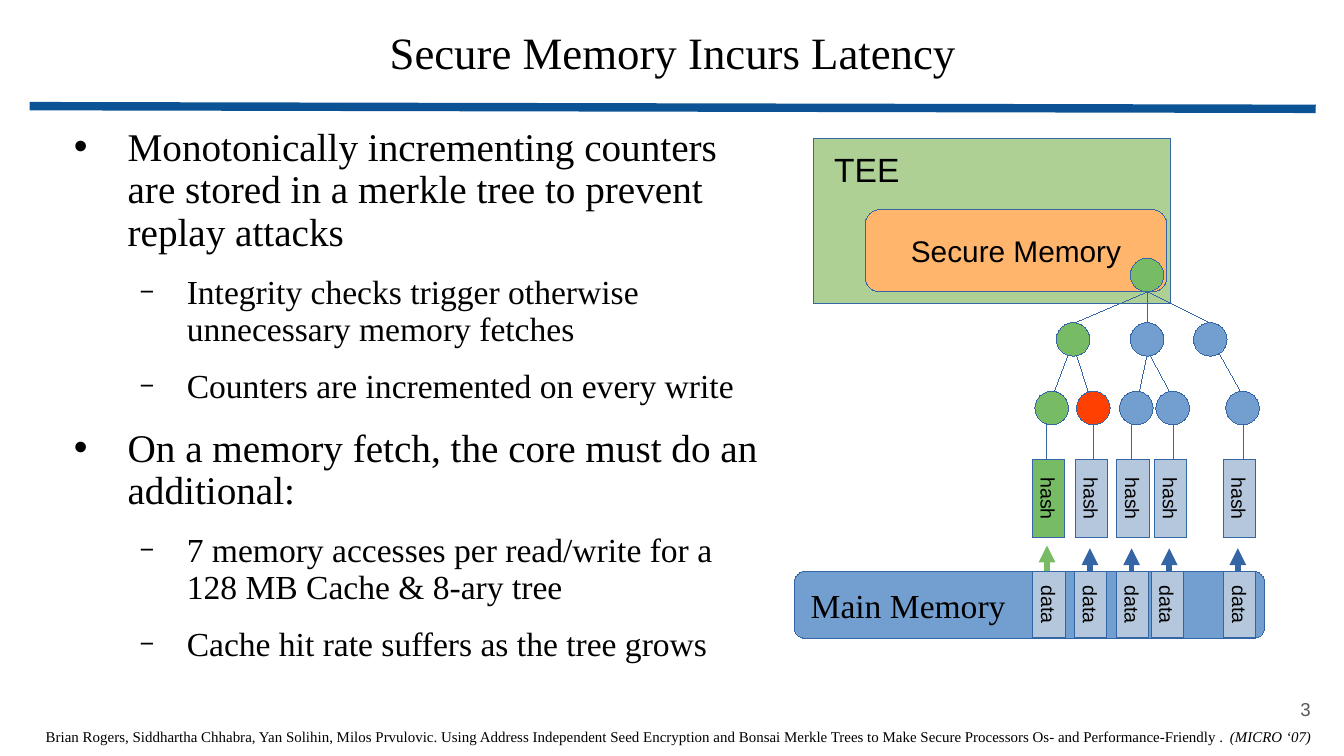
"""Build the slide on the latency of secure memory."""
from dataclasses import dataclass
from typing import NamedTuple

import lxml.etree
import pptx
import pptx.dml.color
import pptx.enum.shapes
import pptx.enum.text
import pptx.oxml.ns
import pptx.util

Inches = pptx.util.Inches
Pt = pptx.util.Pt
Color = pptx.dml.color.RGBColor
Kind = pptx.enum.shapes.MSO_SHAPE
Align = pptx.enum.text.PP_ALIGN
Anchor = pptx.enum.text.MSO_ANCHOR
qn = pptx.oxml.ns.qn

BLACK = Color(0x00, 0x00, 0x00)
GRAY = Color(0x59, 0x59, 0x59)
NAVY = Color(0x0B, 0x53, 0x94)
EDGE = Color(0x34, 0x65, 0xA4)
BLUE = Color(0x72, 0x9F, 0xCF)
PALE = Color(0xB4, 0xC7, 0xDC)
GREEN = Color(0x77, 0xBC, 0x65)
MINT = Color(0xAF, 0xD0, 0x95)
PEACH = Color(0xFF, 0xB6, 0x6C)
RED = Color(0xFF, 0x40, 0x00)
SERIF = "Times New Roman"
SANS = "Arial"
NODE = 0.25


class Box(NamedTuple):
    left: float
    top: float
    width: float
    height: float


class Style(NamedTuple):
    size: float
    face: str = SANS
    align: Align = Align.CENTER
    color: Color = BLACK


class Level(NamedTuple):
    mark: str
    scale: int
    left: float
    hang: float
    size: float
    gap: float


class Link(NamedTuple):
    start: tuple[float, float]
    end: tuple[float, float]


@dataclass
class Column:
    data: float
    hash: float
    arrow: float
    stem: float
    leaf: float
    shade: Color = BLUE
    tint: Color = PALE
    head: Color = EDGE
    tip: float = 4.08


LEVELS = (
    Level("•", 100, 0.5, 0.4, 21, 12),
    Level("−", 75, 0.94, 0.35, 18, 11.3),
)
POINTS = (
    (0, "Monotonically incrementing counters are stored in a merkle tree to prevent replay attacks"),
    (1, "Integrity checks trigger otherwise unnecessary memory fetches"),
    (1, "Counters are incremented on every write"),
    (0, "On a memory fetch, the core must do an additional:"),
    (1, "7 memory accesses per read/write for a 128 MB Cache & 8-ary tree"),
    (1, "Cache hit rate suffers as the tree grows"),
)
COLUMNS = (
    Column(7.56, 7.51, 7.79, 7.79, 7.7, GREEN, GREEN, GREEN, 4.06),
    Column(7.87, 7.83, 8.11, 8.14, 8.01, RED),
    Column(8.18, 8.14, 8.42, 8.42, 8.33),
    Column(8.44, 8.42, 8.7, 8.73, 8.6),
    Column(8.98, 8.93, 9.21, 9.25, 9.12),
)
LINKS = (
    Link((8.54, 2.17), (8.54, 2.63)),
    Link((8.54, 2.17), (9, 2.4)),
    Link((8.54, 2.17), (8, 2.4)),
    Link((8.54, 2.61), (8.46, 3)),
    Link((8.54, 2.61), (8.75, 3)),
    Link((8, 2.5), (7.83, 2.95)),
    Link((7.96, 2.48), (8.13, 3.02)),
    Link((9, 2.5), (9.23, 2.91)),
)
NODES = ((8.41, 1.92, GREEN), (7.86, 2.4, GREEN), (8.41, 2.4, BLUE), (8.88, 2.4, BLUE))


def format_runs(line, style: Style) -> None:
    line.alignment = style.align
    for run in line.runs:
        run.font.size = Pt(style.size)
        run.font.name = style.face
        run.font.color.rgb = style.color


def set_frame(frame, side: float, edge: float) -> None:
    frame.word_wrap = True
    frame.margin_left = frame.margin_right = Inches(side)
    frame.margin_top = frame.margin_bottom = Inches(edge)


def set_line(line, color: Color, width: float):
    line.color.rgb = color
    outline = line._get_or_add_ln()
    outline.set("w", str(Pt(width)))
    return outline


def add_text(slide, box: Box, text: str, style: Style, side: float = 0.07, edge: float = 0.04):
    frame = slide.shapes.add_textbox(*map(Inches, box)).text_frame
    set_frame(frame, side, edge)
    frame.text = text
    format_runs(frame.paragraphs[0], style)
    return frame


def add_shape(slide, kind: Kind, box: Box, fill: Color, text: str = "", style: Style = Style(16)):
    shape = slide.shapes.add_shape(kind, *map(Inches, box))
    shape.shadow.inherit = False
    shape.fill.solid()
    shape.fill.fore_color.rgb = fill
    set_line(shape.line, EDGE, 0)
    if text:
        frame = shape.text_frame
        set_frame(frame, 0.1, 0.05)
        frame.vertical_anchor = Anchor.MIDDLE
        frame.text = text
        format_runs(frame.paragraphs[0], style)
    return shape


def add_tag(slide, box: Box, fill: Color, text: str) -> None:
    tag = add_shape(slide, Kind.RECTANGLE, box, fill, text, Style(10.5))
    tag.rotation = 90
    tag.text_frame.word_wrap = False


def add_line(slide, link: Link, color: Color = EDGE, width: float = 0, arrow: bool = False) -> None:
    ends = map(Inches, link.start + link.end)
    line = slide.shapes.add_connector(pptx.enum.shapes.MSO_CONNECTOR.STRAIGHT, *ends)
    outline = set_line(line.line, color, width)
    if arrow:
        lxml.etree.SubElement(outline, qn("a:tailEnd"), type="triangle")
    lxml.etree.SubElement(line._element.spPr, qn("a:effectLst"))


def add_points(slide) -> None:
    frame = slide.shapes.add_textbox(*map(Inches, Box(0.38, 0.91, 5.37, 4.09))).text_frame
    set_frame(frame, 0.07, 0.04)
    for index, (depth, text) in enumerate(POINTS):
        level = LEVELS[depth]
        line = frame.add_paragraph() if index else frame.paragraphs[0]
        line.text = text
        line.level = depth
        props = line._p.get_or_add_pPr()
        props.set("marL", str(Inches(level.left)))
        props.set("indent", str(-Inches(level.hang)))
        tint = lxml.etree.SubElement(props, qn("a:buClr"))
        lxml.etree.SubElement(tint, qn("a:srgbClr"), val=str(BLACK))
        lxml.etree.SubElement(props, qn("a:buSzPct"), val=str(level.scale * 1000))
        lxml.etree.SubElement(props, qn("a:buFont"), typeface=SANS)
        lxml.etree.SubElement(props, qn("a:buChar"), char=level.mark)
        line.line_spacing = 0.9
        if index:
            line.space_before = Pt(level.gap)
        format_runs(line, Style(level.size, SERIF, Align.LEFT))


def add_source(slide) -> None:
    text = (
        "Brian Rogers, Siddhartha Chhabra, Yan Solihin, Milos Prvulovic. Using Address Independent "
        "Seed Encryption and Bonsai Merkle Trees to Make Secure Processors Os- and Performance-Friendly . "
    )
    style = Style(8, SERIF, Align.LEFT)
    line = add_text(slide, Box(0.08, 5.39, 9.92, 0.23), text, style).paragraphs[0]
    line._p.get_or_add_pPr().set("marL", str(Inches(0.19)))
    line.line_spacing = 0.9
    venue = line.add_run()
    venue.text = "(MICRO ‘07)"
    venue.font.italic = True
    format_runs(line, style)


def add_tree(slide) -> None:
    for link in LINKS:
        add_line(slide, link)
    leaves = tuple((col.leaf, 2.91, col.shade) for col in COLUMNS)
    for left, top, fill in NODES + leaves:
        add_shape(slide, Kind.OVAL, Box(left, top, NODE, NODE), fill)
    for col in COLUMNS:
        add_tag(slide, Box(col.data, 4.38, 0.49, 0.24), PALE, "data")
        add_tag(slide, Box(col.hash, 3.59, 0.58, 0.24), col.tint, "hash")
        add_line(slide, Link((col.stem, 3.42), (col.stem, 3.16)))


def main() -> None:
    deck = pptx.Presentation()
    deck.slide_width = Inches(10)
    deck.slide_height = deck.slide_width * 9 // 16
    slide = deck.slides.add_slide(deck.slide_layouts[6])
    for col in COLUMNS:
        add_line(slide, Link((col.arrow, 4.43), (col.arrow, col.tip)), col.head, 3, True)
    add_line(slide, Link((0.22, 0.79), (9.79, 0.81)), NAVY, 4.5)
    title = add_text(slide, Box(1.13, 0.19, 7.75, 0.99), "Secure Memory Incurs Latency", Style(24, SERIF))
    title.paragraphs[0].line_spacing = 0.9
    page = add_text(slide, Box(9.27, 5.07, 0.58, 0.41), "3", Style(10, SANS, Align.RIGHT, GRAY), 0.1, 0.1)
    page.vertical_anchor = Anchor.MIDDLE
    add_shape(slide, Kind.RECTANGLE, Box(6.05, 1.03, 2.66, 1.23), MINT)
    add_shape(slide, Kind.ROUNDED_RECTANGLE, Box(6.44, 1.56, 2.24, 0.61), PEACH, "Secure Memory")
    add_text(slide, Box(5.9, 1.06, 1.1, 0.4), "TEE", Style(18), 0.1, 0.05)
    add_shape(slide, Kind.ROUNDED_RECTANGLE, Box(5.91, 4.25, 3.5, 0.5), BLUE,
              "Main Memory", Style(18, SERIF, Align.LEFT))
    add_source(slide)
    add_points(slide)
    add_tree(slide)
    deck.save("out.pptx")


if __name__ == "__main__":
    main()
